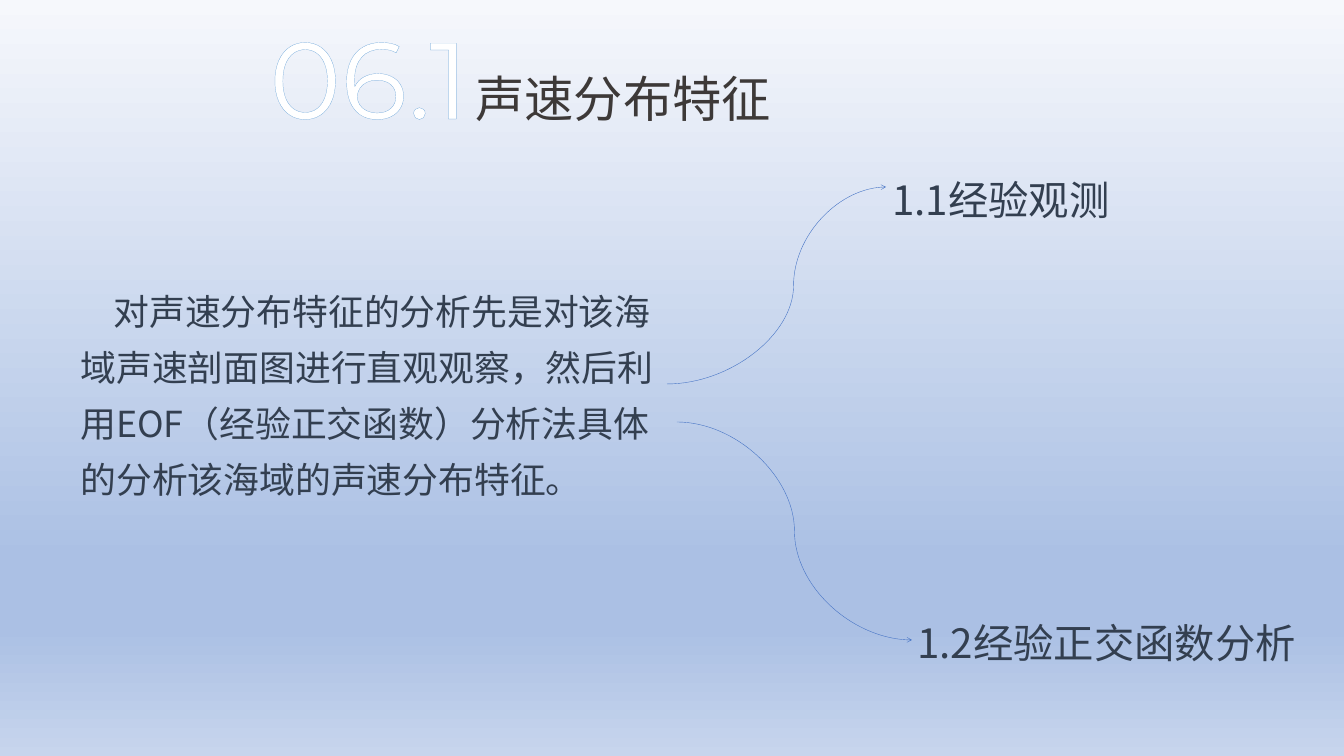
"""Build the slide on sound speed distribution features."""
from lxml.etree import SubElement
from pptx import Presentation
from pptx.dml.color import RGBColor
from pptx.enum.shapes import MSO_CONNECTOR
from pptx.enum.text import MSO_ANCHOR, MSO_AUTO_SIZE, PP_ALIGN
from pptx.oxml.ns import qn
from pptx.util import Pt

PX = 914400 / 54
SLIDE_SIZE = (1344, 756)

THEME = {
    "background": [(0, "F6F8FC"), (74, "ABC0E4"), (83, "ABC0E4"), (100, "C7D5ED")],
    "title": {"size": 65.7, "color": "3D3938", "font": "Montserrat"},
    "number": {"size": 144.4, "color": "FFFFFF", "font": "Montserrat"},
    "summary": {"size": 47.8, "color": "333F50", "font": "Noto Sans CJK SC"},
    "topic": {"size": 53.8, "color": "333F50", "font": "Noto Sans CJK SC"},
    "east_asian": "Noto Sans CJK SC",
    "outline": ("5B9BD5", 0.8),
    "curve": ("4472C4", 0.5),
}

TITLE = ("声速分布特征", (470, 48, 452, 77))
NUMBER = ("06.1", (264, 8, 345, 137))
SUMMARY = (
    "对声速分布特征的分析先是对该海域声速剖面图进行直观观察，然后利用EOF"
    "（经验正交函数）分析法具体的分析该海域的声速分布特征。",
    (75, 274, 605, 231),
)
SUMMARY_INDENT = 33
TOPICS = [
    {"label": ("1.1经验观测", (887, 173, 355, 54)),
     "curve": (667, 384, 886, 187), "bend": 57800},
    {"label": ("1.2经验正交函数分析", (912, 616, 403, 54)),
     "curve": (677, 422, 912, 640), "bend": 50000},
]

FRAME_FORMAT = {
    "word_wrap": True,
    "auto_size": MSO_AUTO_SIZE.SHAPE_TO_FIT_TEXT,
    "vertical_anchor": MSO_ANCHOR.TOP,
}


def emu(lengths):
    return [round(length * PX) for length in lengths]


def apply(target, formats):
    for attribute, value in formats.items():
        setattr(target, attribute, value)


def write(shape, content, role, line_spacing=1.0, indent=0):
    wording, place = content
    apply(shape, dict(zip(("left", "top", "width", "height"), emu(place))))
    apply(shape.text_frame, FRAME_FORMAT)
    paragraph = shape.text_frame.paragraphs[0]
    apply(paragraph, {"alignment": PP_ALIGN.LEFT, "line_spacing": line_spacing,
                      "space_before": Pt(0)})
    properties = paragraph._p.get_or_add_pPr()
    properties.set("marL", "0")
    properties.set("indent", str(round(indent * PX)))
    SubElement(properties, qn("a:buNone"))
    run = paragraph.add_run()
    run.text = wording
    style = THEME[role]
    apply(run.font, {"size": Pt(style["size"]), "name": style["font"]})
    run.font.color.rgb = RGBColor.from_string(style["color"])
    SubElement(run.font._element, qn("a:ea"), typeface=THEME["east_asian"])
    return run


def outline(run):
    color, width = THEME["outline"]
    properties = run.font._element
    border = SubElement(properties, qn("a:ln"), w=str(Pt(width)))
    fill = SubElement(border, qn("a:solidFill"))
    SubElement(fill, qn("a:srgbClr"), val=color)
    properties.insert(0, border)


def paint_background(slide):
    fill = slide.background.fill
    fill.gradient()
    fill.gradient_angle = 270
    stops = slide.element.find(".//" + qn("a:gsLst"))
    for stop in list(stops):
        stops.remove(stop)
    for position, color in THEME["background"]:
        stop = SubElement(stops, qn("a:gs"), pos=str(position * 1000))
        SubElement(stop, qn("a:srgbClr"), val=color)


def draw_curve(slide, ends, bend):
    color, width = THEME["curve"]
    curve = slide.shapes.add_connector(MSO_CONNECTOR.CURVE, *emu(ends))
    curve.line.color.rgb = RGBColor.from_string(color)
    curve.line.width = Pt(width)
    properties = curve._element.spPr
    guides = properties.find(".//" + qn("a:avLst"))
    SubElement(guides, qn("a:gd"), name="adj1", fmla=f"val {bend}")
    SubElement(properties.find(qn("a:ln")), qn("a:tailEnd"), type="arrow")
    SubElement(properties, qn("a:effectLst"))


def main():
    deck = Presentation()
    apply(deck, dict(zip(("slide_width", "slide_height"), emu(SLIDE_SIZE))))
    slide = deck.slides.add_slide(deck.slide_layouts[1])
    paint_background(slide)
    write(slide.placeholders[1], SUMMARY, "summary", 1.3, SUMMARY_INDENT)
    write(slide.shapes.title, TITLE, "title", 1.3)
    number_box = slide.shapes.add_textbox(*emu(NUMBER[1]))
    outline(write(number_box, NUMBER, "number"))
    for topic in TOPICS:
        draw_curve(slide, topic["curve"], topic["bend"])
        label_box = slide.shapes.add_textbox(*emu(topic["label"][1]))
        write(label_box, topic["label"], "topic")
    deck.save("out.pptx")


if __name__ == "__main__":
    main()
